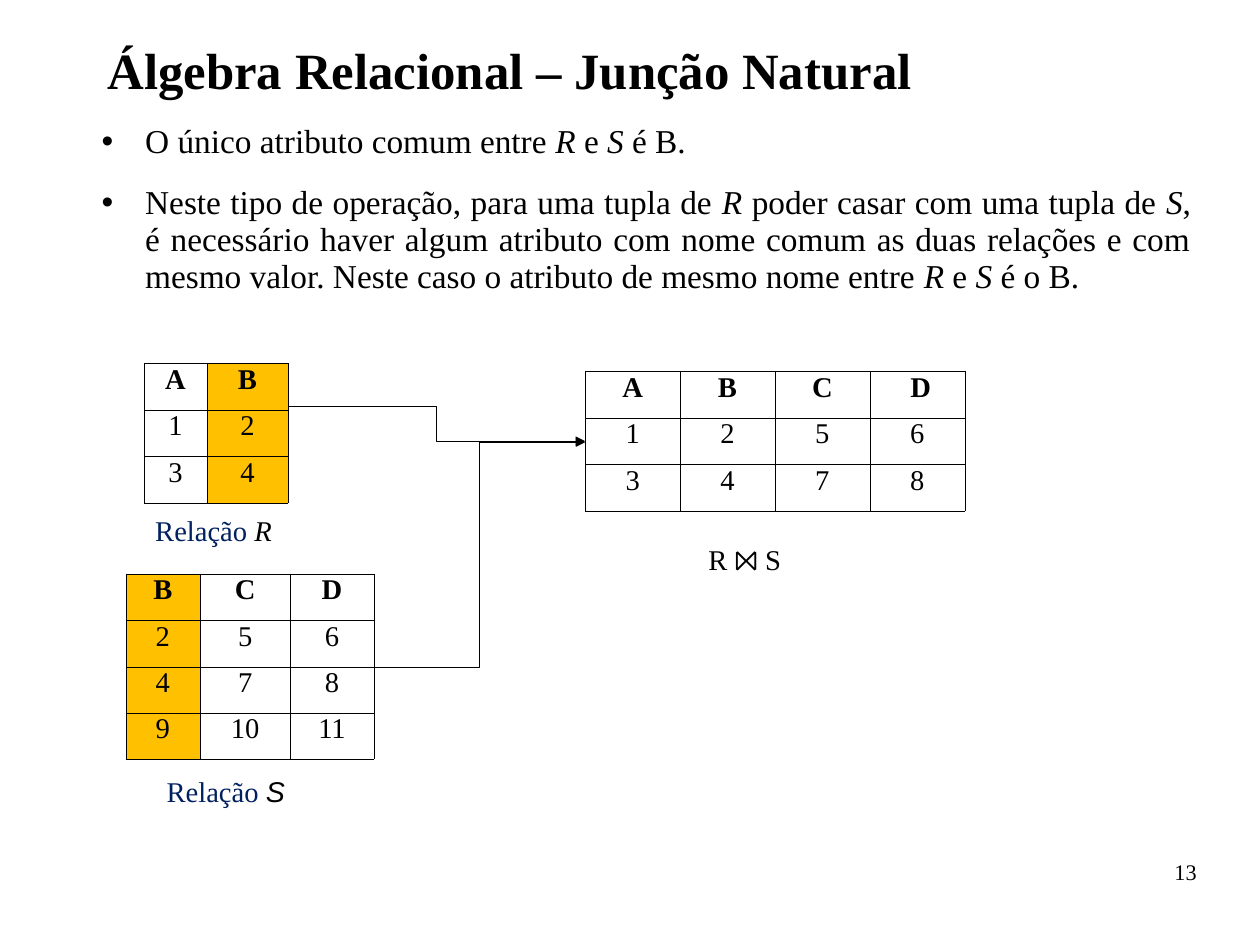
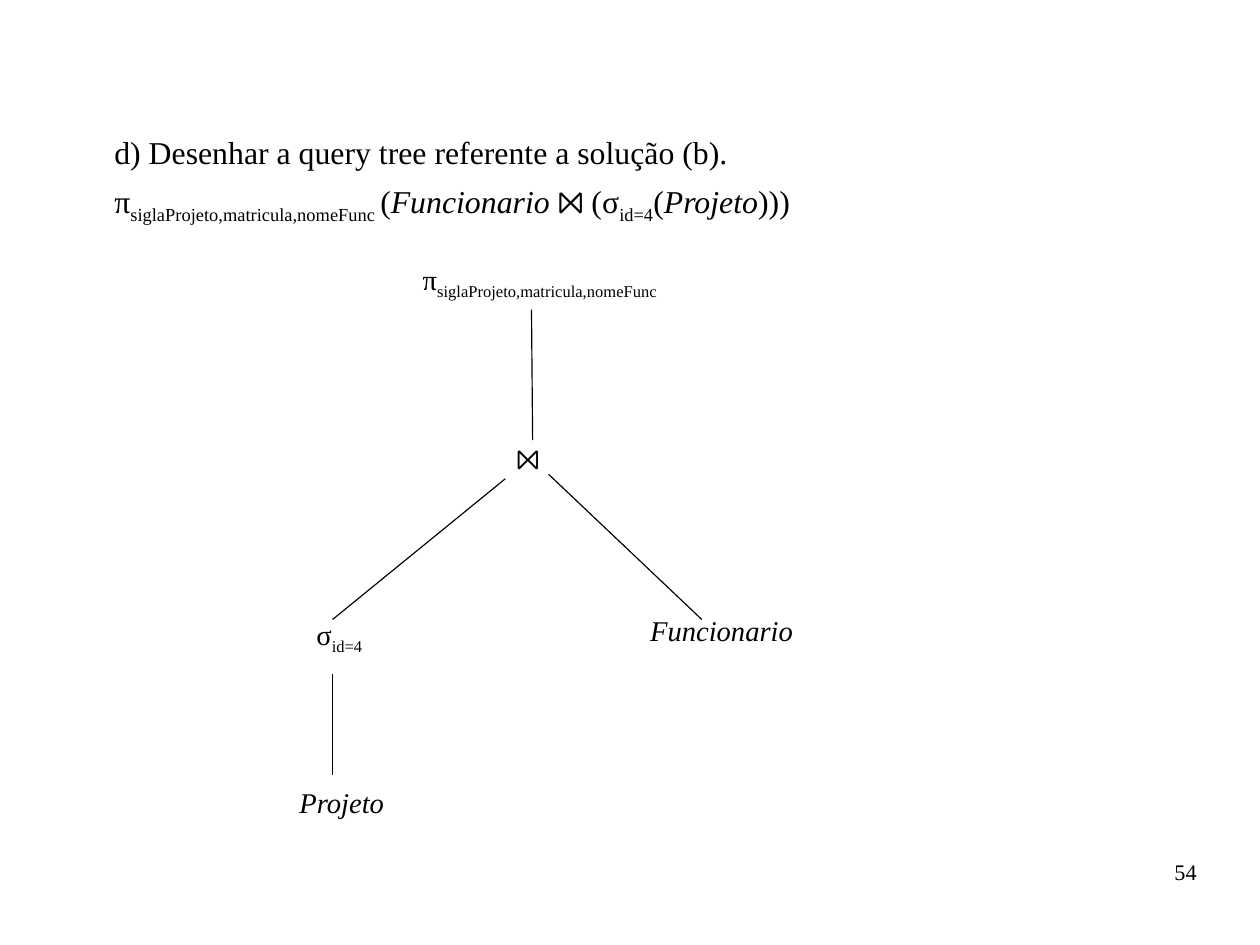
import pptx
import pptx.dml.color
import pptx.enum.shapes
import pptx.enum.text
import pptx.oxml
import pptx.oxml.ns
import pptx.util
from lxml import etree

Inches = pptx.util.Inches
Align = pptx.enum.text.PP_ALIGN
Connector = pptx.enum.shapes.MSO_CONNECTOR

SLIDE_WIDTH, SLIDE_HEIGHT = Inches(28 / 2.54), Inches(21 / 2.54)
SERIF = "Times New Roman"
BLACK, WHITE, NAVY, AMBER = "000000", "FFFFFF", "002060", "FFC000"
ITALIC = {"italic": True}
SUB = {"subscript": True}
LABEL_INSETS = (0.1, 0.05, 0.1, 0.05)
ROW_HEIGHT = 0.406


def color(value):
    """Return the colour for a hex string."""
    return pptx.dml.color.RGBColor.from_string(value)


def add_element(parent, tag, **attributes):
    """Append a drawing element to a parent and return it."""
    return etree.SubElement(parent, pptx.oxml.ns.qn(tag), attributes)


def add_span(para, text, size=18, ink=BLACK, font=SERIF, bold=False, italic=False, subscript=False):
    """Add one formatted run to a paragraph."""
    span = para.add_run()
    span.text = text
    span.font.name = font
    span.font.size = pptx.util.Pt(size)
    span.font.bold = bold
    span.font.italic = italic
    span.font.color.rgb = color(ink)
    if subscript:
        span._r.get_or_add_rPr().set("baseline", "-25000")


def write_para(para, spans, align=Align.LEFT, spacing=1.0, after=0, **style):
    """Fill a paragraph from strings and (text, style) pairs."""
    para.alignment = align
    para.line_spacing = spacing
    para.space_before = pptx.util.Pt(0)
    para.space_after = pptx.util.Pt(after)
    for item in spans:
        text, changes = (item, {}) if isinstance(item, str) else item
        add_span(para, text, **{**style, **changes})


def indent(para, left, hanging=0, bullet=None):
    """Set the indents and the bullet of a paragraph."""
    properties = para._p.get_or_add_pPr()
    properties.set("marL", str(Inches(left)))
    properties.set("indent", str(-Inches(hanging)))
    if bullet:
        add_element(add_element(properties, "a:buClr"), "a:srgbClr", val=BLACK)
        add_element(properties, "a:buFont", typeface="Arial")
        add_element(properties, "a:buChar", char=bullet)
    else:
        add_element(properties, "a:buNone")


def prepare_frame(shape, box, insets):
    """Place a text shape and return its frame, anchored at the top."""
    shape.left, shape.top, shape.width, shape.height = map(Inches, box)
    frame = shape.text_frame
    frame.word_wrap = True
    frame.auto_size = pptx.enum.text.MSO_AUTO_SIZE.NONE
    frame.vertical_anchor = pptx.enum.text.MSO_ANCHOR.TOP
    (frame.margin_left, frame.margin_top,
     frame.margin_right, frame.margin_bottom) = map(Inches, insets)
    return frame


def add_label(page, box, spans, insets=LABEL_INSETS, **style):
    """Add a text box with one paragraph."""
    shape = page.shapes.add_textbox(*map(Inches, box))
    write_para(prepare_frame(shape, box, insets).paragraphs[0], spans, **style)


def add_title(page, text):
    """Write the title of a slide."""
    frame = prepare_frame(page.shapes.title, (0.94, 0.39, 9.53, 0.67), (0, 0, 0, 0))
    write_para(frame.paragraphs[0], [text], size=32, bold=True, spacing=0.93)


def add_body(page, box, paragraphs, left, hanging=0, bullet=None, **style):
    """Write justified paragraphs in the body placeholder."""
    frame = prepare_frame(page.placeholders[1], box, (0, 0.02, 0, 0))
    for index, spans in enumerate(paragraphs):
        para = frame.add_paragraph() if index else frame.paragraphs[0]
        write_para(para, spans, align=Align.JUSTIFY, **style)
        indent(para, left, hanging, bullet)


def add_page_number(page, number):
    """Write the page number at the lower right."""
    add_label(page, (7.9, 7.53, 2.57, 0.57), [number], insets=(0, 0, 0, 0),
              size=14, align=Align.RIGHT, spacing=0.95)


def add_line(page, start, end, kind=Connector.STRAIGHT, arrow=False):
    """Draw a thin black connector between two points."""
    line = page.shapes.add_connector(kind, *map(Inches, (*start, *end)))
    line.line.color.rgb = color(BLACK)
    line.line.width = pptx.util.Pt(0.75)
    if arrow:
        add_element(line.line._get_or_add_ln(), "a:tailEnd", type="triangle")
    add_element(line._element.spPr, "a:effectLst")


def border_cell(cell):
    """Give a cell hairlines on its four sides, ahead of its fill."""
    properties = cell._tc.get_or_add_tcPr()
    for position, side in enumerate(("a:lnL", "a:lnR", "a:lnT", "a:lnB")):
        edge = add_element(properties, side, w=str(pptx.util.Pt(0.06)))
        add_element(add_element(edge, "a:solidFill"), "a:srgbClr", val=BLACK)
        properties.insert(position, edge)


def add_relation(page, left, top, widths, rows, shared=None):
    """Add a relation as a table, with the shared column in amber."""
    box = (left, top, sum(widths), ROW_HEIGHT * len(rows))
    table = page.shapes.add_table(len(rows), len(widths), *map(Inches, box)).table
    table.first_row = table.horz_banding = False
    for column, width in zip(table.columns, widths):
        column.width = Inches(width)
    for row_index, row in enumerate(rows):
        for column_index, text in enumerate(row):
            cell = table.cell(row_index, column_index)
            cell.fill.solid()
            cell.fill.fore_color.rgb = color(AMBER if column_index == shared else WHITE)
            border_cell(cell)
            write_para(cell.text_frame.paragraphs[0], [text], align=Align.CENTER,
                       spacing=0.8, bold=row_index == 0)


def build_natural_join(page):
    """Build the slide with two relations and their natural join."""
    add_title(page, "Álgebra Relacional – Junção Natural")
    r, s = ("R", ITALIC), ("S", ITALIC)
    add_body(page, (0.89, 1.06, 9.53, 5.98), [
        ["O único atributo comum entre ", r, " e ", s, " é B."],
        ["Neste tipo de operação, para uma tupla de ", r, " poder casar com uma tupla de ", s,
         ", é necessário haver algum atributo com nome comum as duas relações e com mesmo valor. "
         "Neste caso o atributo de mesmo nome entre ", r, " e ", s, " é o B."],
    ], left=0.38, hanging=0.38, bullet="•", size=21, spacing=0.93, after=15)
    add_page_number(page, "13")

    add_relation(page, 1.26, 3.18, (0.55, 0.71), ("AB", "12", "34"), shared=1)
    add_relation(page, 1.1, 5.02, (0.65, 0.79, 0.73),
                 ("BCD", "256", "478", ("9", "10", "11")), shared=0)
    add_relation(page, 5.12, 3.25, (0.83,) * 4, (("A", "B", "C", " D"), "1256", "3478"))

    name = ("Relação ", {"ink": NAVY})
    add_label(page, (1.26, 4.44, 1.42, 0.4), [name, r])
    add_label(page, (1.36, 6.72, 1.42, 0.4), [name, ("S", {"italic": True, "font": "Arial"})])
    add_label(page, (6.1, 4.69, 1.81, 0.4), ["R ⨝ S"], align=Align.JUSTIFY)
    add_line(page, (2.52, 3.56), (5.12, 3.86), kind=Connector.ELBOW, arrow=True)
    add_line(page, (3.27, 5.84), (5.12, 3.87), kind=Connector.ELBOW, arrow=True)


def build_query_tree(page):
    """Build the slide with an expression and its query tree."""
    title = page.shapes.title._element
    title.getparent().remove(title)
    projection = ["π", ("siglaProjeto,matricula,nomeFunc", SUB)]
    selection = ["σ", ("id=4", SUB)]
    employee, project = ("Funcionario", ITALIC), ("Projeto", ITALIC)
    add_body(page, (0.94, 1.14, 9.53, 5.59), [
        ["d) Desenhar a query tree referente a solução (b)."],
        [*projection, (" ", SUB), "(", employee, " ⨝ (", *selection, "(", project, ")))"],
    ], left=0.06, size=20, after=6.8)
    add_page_number(page, "54")

    nodes = (
        ((3.6, 2.24, 2.84, 0.44), projection, Align.LEFT),
        ((4.42, 3.81, 3.45, 0.4), ["⨝"], Align.LEFT),
        ((2.67, 5.35, 0.87, 0.44), selection, Align.LEFT),
        ((5.59, 5.31, 1.96, 0.4), [employee], Align.LEFT),
        ((1.65, 6.82, 2.68, 0.4), [project], Align.CENTER),
    )
    for box, spans, align in nodes:
        add_label(page, box, spans, align=align)
    edges = (
        ((4.65, 2.71), (4.66, 3.85)),
        ((4.42, 4.19), (2.91, 5.42)),
        ((4.8, 4.15), (6.14, 5.42)),
        ((2.91, 5.9), (2.91, 6.78)),
    )
    for start, end in edges:
        add_line(page, start, end)


def main():
    """Build and save the deck."""
    deck = pptx.Presentation()
    deck.slide_width, deck.slide_height = SLIDE_WIDTH, SLIDE_HEIGHT
    deck.element.sldSz.attrib.pop("type", None)
    layout = deck.slide_layouts[1]
    build_natural_join(deck.slides.add_slide(layout))
    build_query_tree(deck.slides.add_slide(layout))
    deck.save("out.pptx")


if __name__ == "__main__":
    main()
